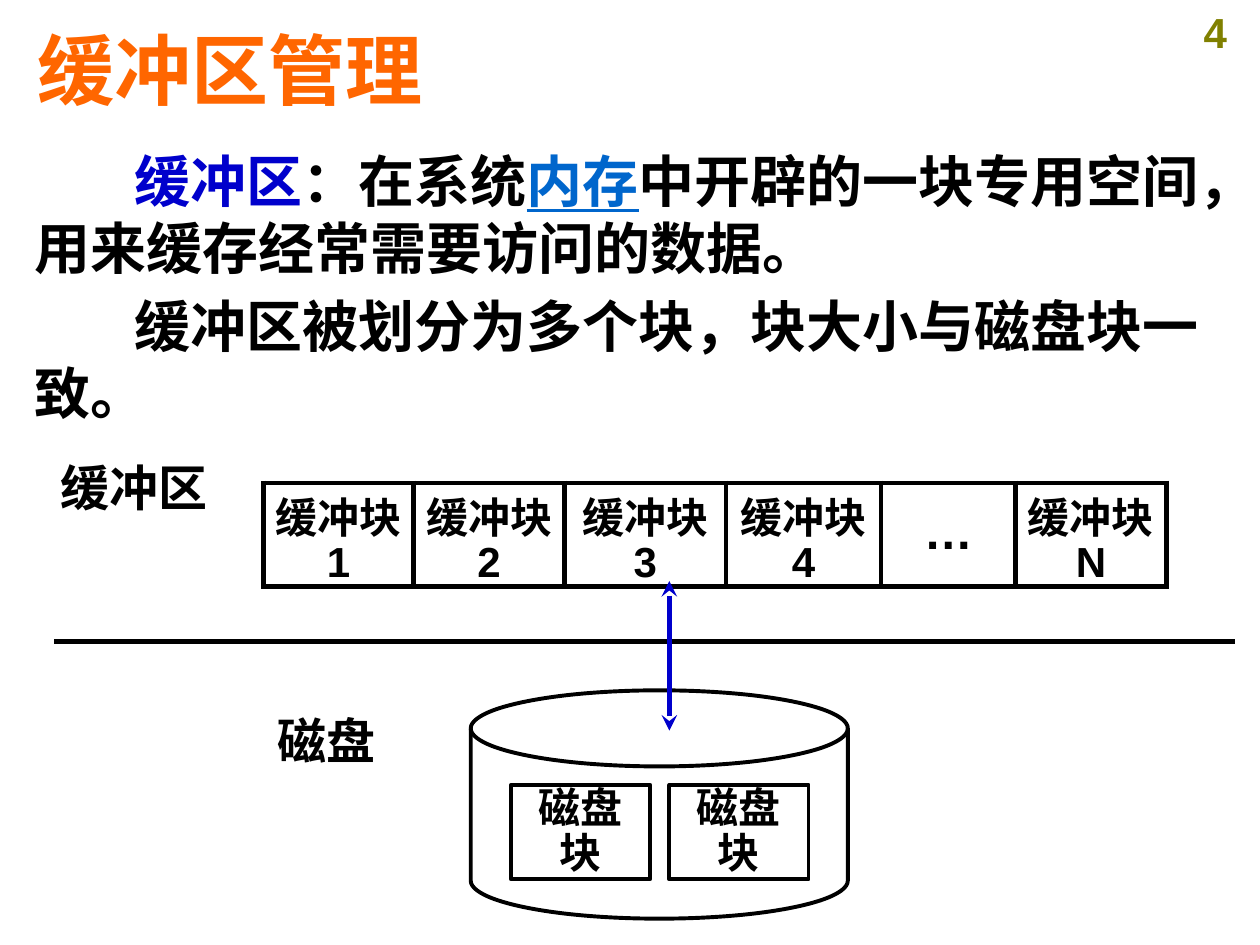
from dataclasses import dataclass

import pptx
import pptx.dml.color
import pptx.enum.dml
import pptx.enum.shapes
import pptx.enum.text
import pptx.oxml
import pptx.oxml.ns
import pptx.util

Pt = pptx.util.Pt
Align = pptx.enum.text.PP_ALIGN
Anchor = pptx.enum.text.MSO_ANCHOR
Shape = pptx.enum.shapes.MSO_SHAPE

FONT = "Arial"
COLORS = {
    "black": "000000",
    "white": "FFFFFF",
    "orange": "FF6600",
    "blue": "0000CC",
    "link": "0066CC",
    "olive": "808000",
}


@dataclass
class Box:
    left: float
    top: float
    width: float
    height: float

    def lengths(self) -> list:
        return [Pt(v) for v in (self.left, self.top, self.width, self.height)]


@dataclass
class Run:
    text: str
    color: str = "black"
    underline: bool = False


@dataclass
class Label:
    text: str
    box: Box
    size: float
    color: str = "black"
    align: int = Align.CENTER
    inset: tuple = (0, 0)
    wrap: bool = False


def rgb(name: str):
    return pptx.dml.color.RGBColor.from_string(COLORS[name])


def style_font(font, size: float, color: str = "black") -> None:
    font.name, font.size, font.bold = FONT, Pt(size), True
    font.color.rgb = rgb(color)


def set_margins(target, horizontal: float, vertical: float) -> None:
    target.margin_left = target.margin_right = Pt(horizontal)
    target.margin_top = target.margin_bottom = Pt(vertical)


def write_lines(frame, lines: list, size: float) -> None:
    """Centred lines, set tight, for blocks and table cells."""
    for index, line in enumerate(lines):
        paragraph = frame.add_paragraph() if index else frame.paragraphs[0]
        paragraph.text = line
        paragraph.alignment = Align.CENTER
        paragraph.line_spacing = 0.9
        style_font(paragraph.font, size)


def add_label(slide, label: Label) -> None:
    frame = slide.shapes.add_textbox(*label.box.lengths()).text_frame
    frame.word_wrap = label.wrap
    frame.vertical_anchor = Anchor.MIDDLE
    set_margins(frame, *label.inset)
    paragraph = frame.paragraphs[0]
    paragraph.text = label.text
    paragraph.alignment = label.align
    style_font(paragraph.font, label.size, label.color)


def add_body(slide, box: Box, paragraphs: list) -> None:
    frame = slide.shapes.add_textbox(*box.lengths()).text_frame
    frame.word_wrap = True
    for index, runs in enumerate(paragraphs):
        paragraph = frame.add_paragraph() if index else frame.paragraphs[0]
        paragraph._p.get_or_add_pPr().set("indent", str(Pt(57)))
        if index:
            paragraph.space_before = Pt(6)
        for item in runs:
            run = paragraph.add_run()
            run.text = item.text
            style_font(run.font, 32, item.color)
            if item.underline:
                run.font.underline = True


def add_borders(cell, width: float) -> None:
    properties = cell._tc.get_or_add_tcPr()
    for position, side in enumerate(("lnL", "lnR", "lnT", "lnB")):
        border = pptx.oxml.parse_xml(
            f'<a:{side} {pptx.oxml.ns.nsdecls("a")} w="{Pt(width)}"><a:solidFill>'
            f'<a:srgbClr val="{COLORS["black"]}"/></a:solidFill></a:{side}>'
        )
        properties.insert(position, border)


def add_buffer_table(slide, box: Box, widths: list, names: list) -> None:
    table = slide.shapes.add_table(1, len(names), *box.lengths()).table
    table.first_row = table.horz_banding = False
    for column, width in zip(table.columns, widths):
        column.width = Pt(width)
    for cell, name in zip(table.rows[0].cells, names):
        cell.vertical_anchor = Anchor.MIDDLE
        set_margins(cell, 0, 3.6)
        cell.fill.solid()
        cell.fill.fore_color.rgb = rgb("white")
        add_borders(cell, 3)
        if name == "…":
            write_lines(cell.text_frame, [name], 28)
        else:
            write_lines(cell.text_frame, ["缓冲块", name], 24)


def add_outline(slide, kind: int, box: Box):
    shape = slide.shapes.add_shape(kind, *box.lengths())
    shape.shadow.inherit = False
    shape.fill.background()
    shape.line.color.rgb = rgb("black")
    shape.line.width = Pt(2.25)
    return shape


def add_disk_block(slide, box: Box) -> None:
    frame = add_outline(slide, Shape.RECTANGLE, box).text_frame
    frame.word_wrap = True
    frame.vertical_anchor = Anchor.MIDDLE
    set_margins(frame, 0, 0)
    write_lines(frame, ["磁盘", "块"], 24)


def add_line(slide, start: tuple, end: tuple, color: str, arrows: bool = False) -> None:
    points = [Pt(v) for v in (*start, *end)]
    line = slide.shapes.add_connector(pptx.enum.shapes.MSO_CONNECTOR.STRAIGHT, *points)
    line.line.color.rgb = rgb(color)
    line.line.width = Pt(3)
    namespace = pptx.oxml.ns.nsdecls("a")
    if arrows:
        for end_name in ("headEnd", "tailEnd"):
            line.line._get_or_add_ln().append(
                pptx.oxml.parse_xml(f'<a:{end_name} {namespace} type="stealth"/>')
            )
    line._element.spPr.append(pptx.oxml.parse_xml(f"<a:effectLst {namespace}/>"))


def main() -> None:
    presentation = pptx.Presentation()
    presentation.slide_width, presentation.slide_height = Pt(720), Pt(540)
    slide = presentation.slides.add_slide(presentation.slide_layouts[6])

    # Page number, title and body text
    add_label(slide, Label("4", Box(669, 0, 51, 36), 24, "olive", inset=(7.2, 3.6), wrap=True))
    add_label(slide, Label("缓冲区管理", Box(14.5, 11.5, 682, 55), 44, "orange",
                           Align.LEFT, (7.2, 3.6), True))
    add_body(slide, Box(12.5, 80, 682, 179), [
        [Run("缓冲区", "blue"), Run("：在系统"), Run("内存", "link", True),
         Run("中开辟的一块专用空间，用来缓存经常需要访问的数据。")],
        [Run("缓冲区被划分为多个块，块大小与磁盘块一致。")],
    ])

    # Buffer in memory
    widths = [86, 86, 92.5, 88.5, 77, 86]
    add_buffer_table(slide, Box(150.5, 276, sum(widths), 59), widths,
                     ["1", "2", "3", "4", "…", "N"])
    add_label(slide, Label("缓冲区", Box(34.5, 261, 84, 34), 28))

    # Disk with its blocks
    add_outline(slide, Shape.FLOWCHART_MAGNETIC_DISK, Box(269, 394.5, 215.5, 130.5))
    for index in range(2):
        add_disk_block(slide, Box(292 + 90.5 * index, 448.5, 79.5, 54))
    add_label(slide, Label("磁盘", Box(158.5, 406, 56, 34), 28))

    # Divider between memory and disk, and the transfer arrow
    add_line(slide, (31, 366.5), (705.5, 366.5), "black")
    add_line(slide, (382.5, 332), (382.5, 417.5), "blue", arrows=True)

    presentation.save("out.pptx")


if __name__ == "__main__":
    main()
